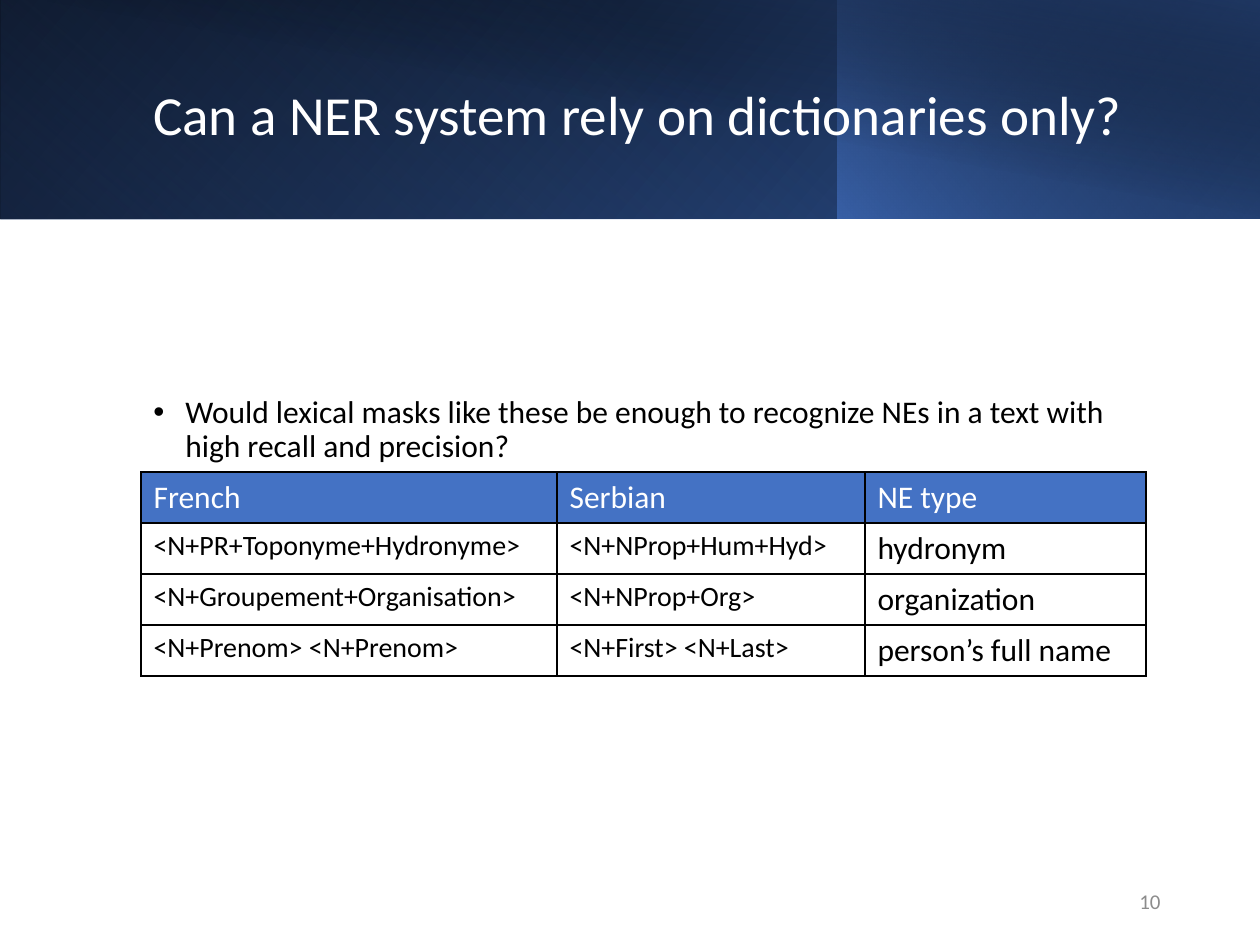
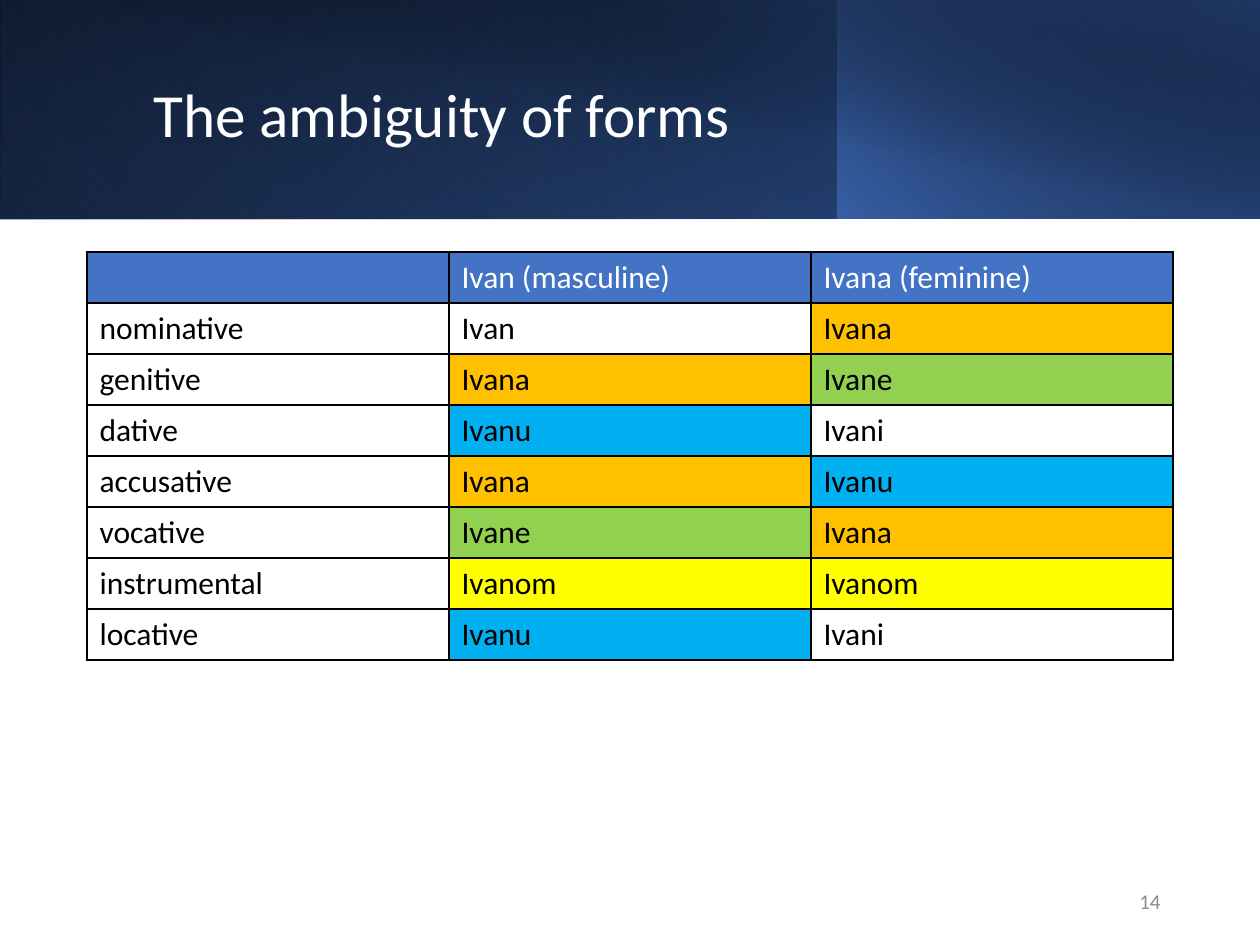
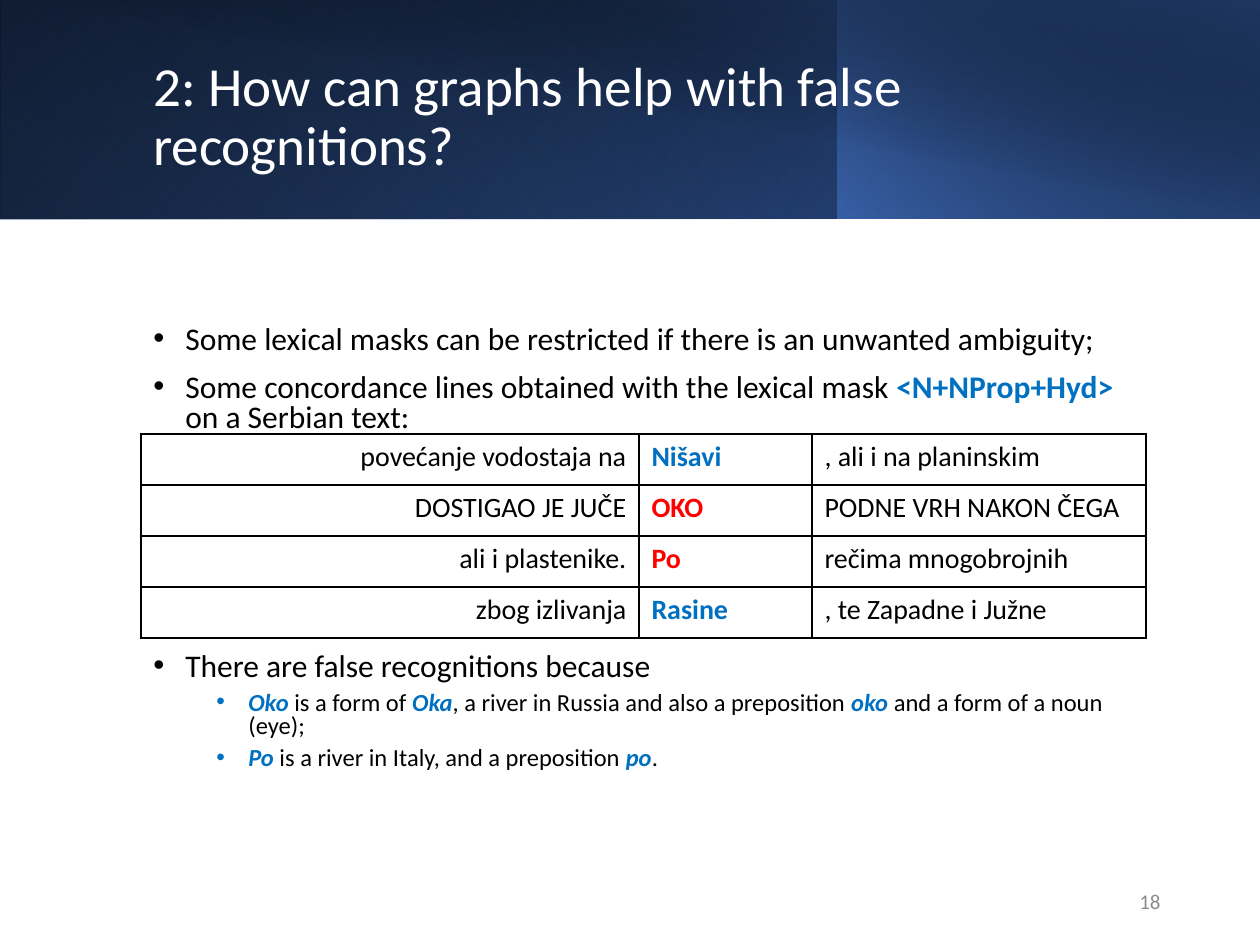
from lxml import etree
from pptx import Presentation
from pptx import util as u
from pptx.dml.color import RGBColor
from pptx.enum import shapes, text
from pptx.oxml.ns import qn

# Shared look
FONT = "Calibri"
BLACK, WHITE, GREY = "000000", "FFFFFF", "8C8C8C"
ACCENT, BLUE, RED = "4472C4", "0070C0", "FF0000"
NAVY, MID_BLUE = "203864", "2F5597"
LEFT, RIGHT = text.PP_ALIGN.LEFT, text.PP_ALIGN.RIGHT
TOP, MIDDLE = text.MSO_ANCHOR.TOP, text.MSO_ANCHOR.MIDDLE
ROW_HEIGHT = 51
TITLE_BOX = (141, 47, 1023, 142)
NUMBER_BOX = (890, 876, 283, 50)

# Header band layers: box, rotation, mirrored, angle, stops (position, colour, opacity)
BAND = [
    ((0, 0, 1260, 219), 0, True, 140, [(0, BLACK, 100), (100, MID_BLUE, 100)]),
    ((0, 0, 838, 219), 180, True, 230, [(20, ACCENT, 0), (100, NAVY, 55)]),
    ((838, 0, 422, 219), 0, True, 220, [(0, ACCENT, 66), (100, BLACK, 30)]),
    ((48, 0, 1212, 220), 0, False, 280, [(50, BLACK, 0), (99, NAVY, 52)]),
]

# Run styles
PLAIN = {}
MASK = {"color": BLUE, "bold": True}
WORD = {"color": BLUE, "bold": True, "italic": True}
HIT = {"color": BLUE, "bold": True}
MISS = {"color": RED, "bold": True}

# Paragraph levels: text size, left indent in px, space before in points
LEVELS = [(18, 32, 10), (14, 95, 5)]

# Forms shared by both names, each with its own colour
FORM_FILLS = {"Ivana": "FFC000", "Ivane": "92D050", "Ivanu": "00B0F0", "Ivanom": "FFFF00"}
KEYWORD_STYLES = {"Nišavi": HIT, "OKO": MISS, "Po": MISS, "Rasine": HIT}

# Bullets are (level, runs, optional space before)
SLIDES = [
    {
        "title": ("Can a NER system rely on dictionaries only?", 31.5),
        "number": "10",
        "body": {
            "box": (141, 320, 1005, 220), "anchor": MIDDLE, "spacing": 0.9,
            "bullets": [
                (0, [("Would lexical masks like these be enough to recognize NEs "
                      "in a text with high recall and precision?", PLAIN)]),
            ],
        },
        "table": {
            "at": (141, 472), "columns": [416, 308, 281],
            "sizes": [16, 16, 18], "aligns": [LEFT] * 3,
            "header": ["French", "Serbian", "NE type"],
            "rows": [
                ["<N+PR+Toponyme+Hydronyme>", "<N+NProp+Hum+Hyd>", "hydronym"],
                ["<N+Groupement+Organisation>", "<N+NProp+Org>", "organization"],
                ["<N+Prenom> <N+Prenom>", "<N+First> <N+Last>", "person’s full name"],
            ],
        },
    },
    {
        "title": ("The ambiguity of forms", 35),
        "number": "14",
        "table": {
            "at": (87, 252), "columns": [362] * 3,
            "sizes": [18] * 3, "aligns": [LEFT] * 3, "fills": FORM_FILLS,
            "header": ["", "Ivan (masculine)", "Ivana (feminine)"],
            "rows": [
                ["nominative", "Ivan", "Ivana"],
                ["genitive", "Ivana", "Ivane"],
                ["dative", "Ivanu", "Ivani"],
                ["accusative", "Ivana", "Ivanu"],
                ["vocative", "Ivane", "Ivana"],
                ["instrumental", "Ivanom", "Ivanom"],
                ["locative", "Ivanu", "Ivani"],
            ],
        },
    },
    {
        "title": ("2: How can graphs help with false recognitions?", 31.5),
        "number": "18",
        "body": {
            "box": (141, 320, 1005, 490), "anchor": TOP, "spacing": 0.8,
            "bullets": [
                (0, [("Some lexical masks can be restricted if there is an "
                      "unwanted ambiguity;", PLAIN)]),
                (0, [("Some concordance lines obtained with the lexical mask ", PLAIN),
                     ("<N+NProp+Hyd>", MASK), (" on a Serbian text:", PLAIN)]),
                (0, [("There are false recognitions because", PLAIN)], 125),
                (1, [("Oko", WORD), (" is a form of ", PLAIN), ("Oka", WORD),
                     (", a river in Russia and also a preposition ", PLAIN),
                     ("oko", WORD), (" and a form of a noun (eye);", PLAIN)]),
                (1, [("Po", WORD), (" is a river in Italy, and a preposition ", PLAIN),
                     ("po", WORD), (".", PLAIN)]),
            ],
        },
        "table": {
            "at": (141, 434), "columns": [498, 173, 334],
            "sizes": [16] * 3, "aligns": [RIGHT, LEFT, LEFT], "styles": KEYWORD_STYLES,
            "rows": [
                ["povećanje vodostaja na", "Nišavi", ", ali i na planinskim"],
                ["DOSTIGAO JE JUČE", "OKO", "PODNE VRH NAKON ČEGA"],
                ["ali i plastenike.", "Po", "rečima mnogobrojnih"],
                ["zbog izlivanja", "Rasine", ", te Zapadne i Južne"],
            ],
        },
    },
]


def px(length):
    return u.Emu(round(length * 914400 / 126))


def rgb(color):
    return RGBColor.from_string(color)


def add_run(paragraph, words, size, color=BLACK, bold=False, italic=False):
    run = paragraph.add_run()
    run.text = words
    font = run.font
    font.name, font.size, font.bold, font.italic = FONT, u.Pt(size), bold, italic
    font.color.rgb = rgb(color)


def add_text_frame(slide, box, anchor=MIDDLE):
    frame = slide.shapes.add_textbox(*map(px, box)).text_frame
    frame.word_wrap = True
    frame.vertical_anchor = anchor
    return frame


def add_band(slide):
    for box, rotation, mirrored, angle, stops in BAND:
        layer = slide.shapes.add_shape(shapes.MSO_SHAPE.RECTANGLE, *map(px, box))
        layer.shadow.inherit = False
        layer.line.fill.background()
        layer.rotation = rotation
        if mirrored:
            layer._element.spPr.xfrm.set("flipH", "1")
        layer.fill.gradient()
        gradient = layer._element.spPr.find(qn("a:gradFill"))
        for child in list(gradient):
            gradient.remove(child)
        gradient.set("rotWithShape", "1")
        stop_list = etree.SubElement(gradient, qn("a:gsLst"))
        for position, color, opacity in stops:
            stop = etree.SubElement(stop_list, qn("a:gs"), pos=str(position * 1000))
            tint = etree.SubElement(stop, qn("a:srgbClr"), val=color)
            etree.SubElement(tint, qn("a:alpha"), val=str(opacity * 1000))
        etree.SubElement(gradient, qn("a:lin"), ang=str(angle * 60000), scaled="0")


def add_title(slide, words, size):
    paragraph = add_text_frame(slide, TITLE_BOX).paragraphs[0]
    paragraph.line_spacing = 0.9
    add_run(paragraph, words, size, WHITE)


def add_number(slide, number):
    paragraph = add_text_frame(slide, NUMBER_BOX).paragraphs[0]
    paragraph.alignment = RIGHT
    add_run(paragraph, number, 12, GREY)


def add_body(slide, box, anchor, spacing, bullets):
    frame = add_text_frame(slide, box, anchor)
    for index, (level, runs, *gap) in enumerate(bullets):
        paragraph = frame.add_paragraph() if index else frame.paragraphs[0]
        size, indent, before = LEVELS[level]
        props = paragraph._p.get_or_add_pPr()
        props.set("marL", str(px(indent)))
        props.set("indent", str(-px(LEVELS[0][1])))
        etree.SubElement(props, qn("a:buFont"), typeface="Arial")
        etree.SubElement(props, qn("a:buChar"), char="•")
        paragraph.level = level
        paragraph.line_spacing = spacing
        if index:
            paragraph.space_before = u.Pt(gap[0] if gap else before)
        for words, style in runs:
            add_run(paragraph, words, size, **style)


def add_borders(cell):
    props = cell._tc.get_or_add_tcPr()
    for position, side in enumerate(("lnL", "lnR", "lnT", "lnB")):
        line = etree.Element(qn("a:" + side), w=str(u.Pt(1)))
        fill = etree.SubElement(line, qn("a:solidFill"))
        etree.SubElement(fill, qn("a:srgbClr"), val=BLACK)
        props.insert(position, line)


def fill_cell(cell, words, size, align, fill, style):
    if fill:
        cell.fill.solid()
        cell.fill.fore_color.rgb = rgb(fill)
    else:
        cell.fill.background()
    add_borders(cell)
    paragraph = cell.text_frame.paragraphs[0]
    paragraph.alignment = align
    if words:
        add_run(paragraph, words, size, **style)


def add_grid(slide, at, columns, sizes, aligns, rows, header=None, fills={}, styles={}):
    lines = ([header] if header else []) + rows
    box = (*at, sum(columns), ROW_HEIGHT * len(lines))
    grid = slide.shapes.add_table(len(lines), len(columns), *map(px, box)).table
    grid.first_row = grid.horz_banding = False
    for column, width in zip(grid.columns, columns):
        column.width = px(width)
    for row, line in zip(grid.rows, lines):
        row.height = px(ROW_HEIGHT)
        for cell, words, size, align in zip(row.cells, line, sizes, aligns):
            if line is header:
                fill_cell(cell, words, 18, align, ACCENT, {"color": WHITE})
            else:
                fill_cell(cell, words, size, align, fills.get(words), styles.get(words, PLAIN))


def main():
    deck = Presentation()
    deck.slide_width, deck.slide_height = px(1260), px(945)
    for content in SLIDES:
        slide = deck.slides.add_slide(deck.slide_layouts[6])
        add_band(slide)
        add_title(slide, *content["title"])
        if "body" in content:
            add_body(slide, **content["body"])
        add_grid(slide, **content["table"])
        add_number(slide, content["number"])
    deck.save("out.pptx")


if __name__ == "__main__":
    main()
